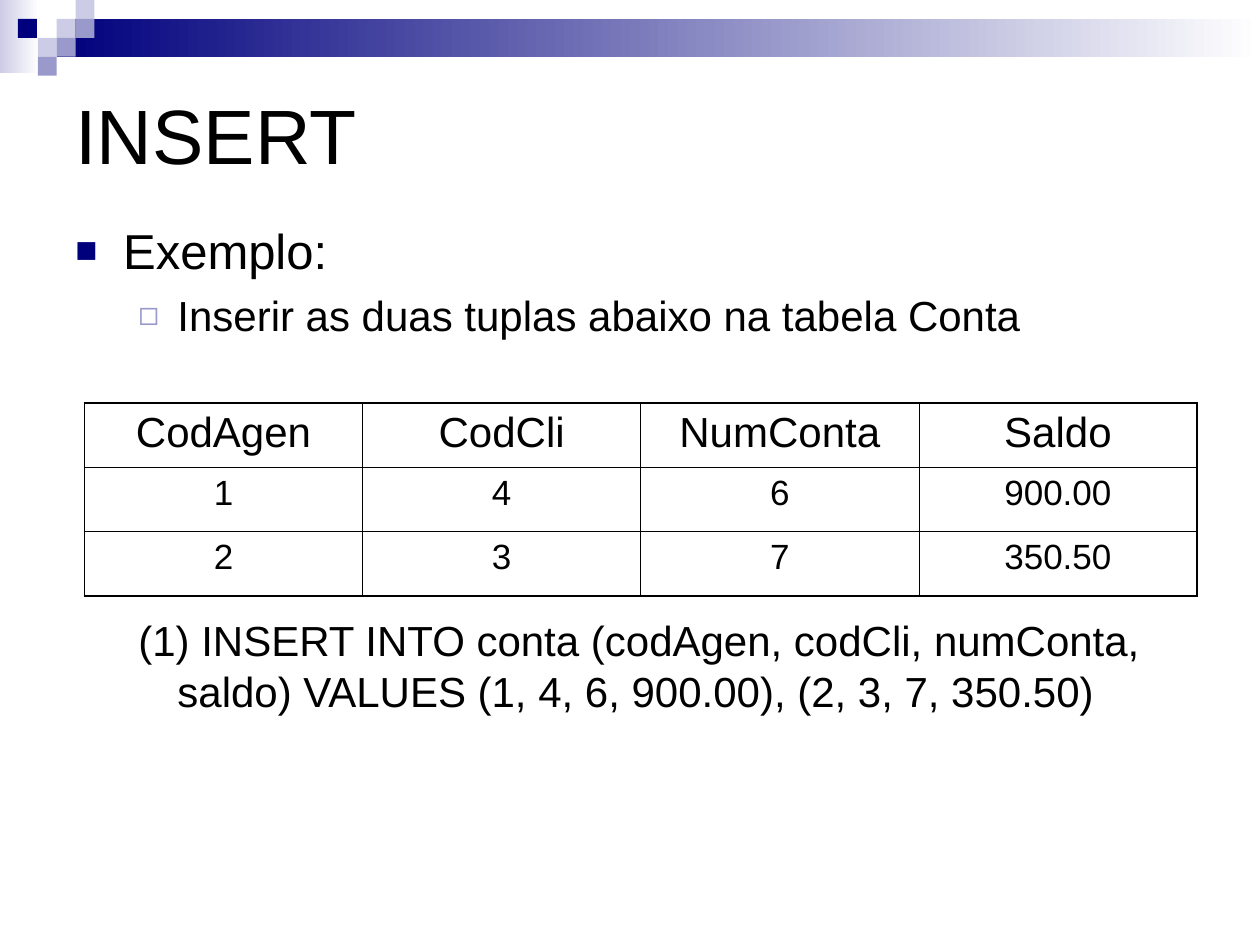
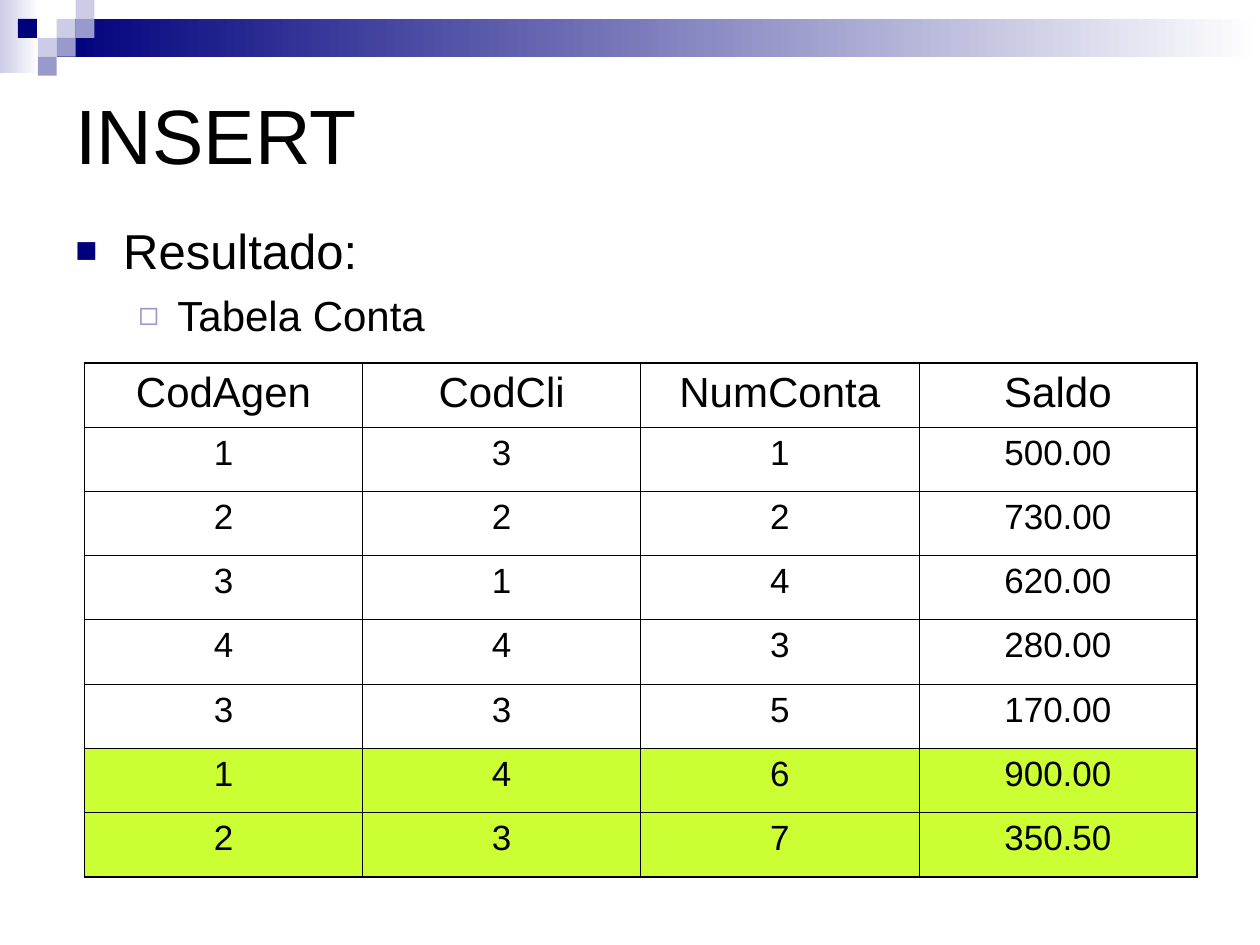
from dataclasses import dataclass

from lxml import etree
from pptx import Presentation
from pptx.dml.color import RGBColor
from pptx.enum import shapes, text
from pptx.oxml import ns
from pptx.util import Inches, Pt


@dataclass(frozen=True)
class Theme:
    font: str = "Arial"
    ink: str = "000000"
    paper: str = "FFFFFF"
    navy: str = "00007D"
    lilac: str = "9999CC"
    pale: str = "CCCCE6"
    new_row: str = "CCFF33"
    title_size: int = 44
    topic_size: int = 28
    detail_size: int = 24
    cell_size: int = 20
    outer_line: float = 1.08
    inner_line: float = 0.45


THEME = Theme()
TITLE_BOX = (0.5, 0.5, 9, 1.12)
BODY_BOX = (0.5, 1.7, 9.23, 5.59)
TABLE_LEFT, TABLE_WIDTH, ROW_HEIGHT = 0.67, 8.83, 0.51
SQUARE = 0.15

HEADER = ("CodAgen", "CodCli", "NumConta", "Saldo")
OLD_ROWS = [
    ("1", "3", "1", "500.00"),
    ("2", "2", "2", "730.00"),
    ("3", "1", "4", "620.00"),
    ("4", "4", "3", "280.00"),
    ("3", "3", "5", "170.00"),
]
NEW_ROWS = [("1", "4", "6", "900.00"), ("2", "3", "7", "350.50")]
STATEMENT = ("(1) INSERT INTO conta (codAgen, codCli, numConta, saldo) "
             "VALUES (1, 4, 6, 900.00), (2, 3, 7, 350.50)")


def rgb(color):
    return RGBColor.from_string(color)


def style_paragraph(para, size):
    for span in para.runs:
        span.font.name = THEME.font
        span.font.size = Pt(size)
        span.font.color.rgb = rgb(THEME.ink)


def add_rectangle(page, box, color, fade_to=None):
    shape = page.shapes.add_shape(shapes.MSO_SHAPE.RECTANGLE, *map(Inches, box))
    shape.shadow.inherit = False
    shape.line.fill.background()
    if fade_to is None:
        shape.fill.solid()
        shape.fill.fore_color.rgb = rgb(color)
        return
    shape.fill.gradient()
    shape.fill.gradient_angle = 0
    for stop, position, stop_color in zip(shape.fill.gradient_stops, (0, 1), (color, fade_to)):
        stop.position = position
        stop.color.rgb = rgb(stop_color)


def add_header_band(page):
    # Fading bands
    add_rectangle(page, (0, 0, 0.31, 0.58), THEME.pale, THEME.paper)
    add_rectangle(page, (3 * SQUARE, SQUARE, 9.55, 2 * SQUARE), THEME.navy, THEME.paper)
    # Mosaic: column and row of each square
    mosaic = [
        (3, 1, THEME.pale), (4, 0, THEME.pale), (4, 1, THEME.lilac), (2, 2, THEME.pale),
        (0.95, 1, THEME.navy), (3, 2, THEME.lilac), (2, 3, THEME.lilac),
    ]
    for column, row, color in mosaic:
        add_rectangle(page, (column * SQUARE, row * SQUARE, SQUARE, SQUARE), color)


def add_title(page, box, wording):
    title = page.shapes.title
    title.left, title.top, title.width, title.height = map(Inches, box)
    frame = title.text_frame
    frame.text = wording
    frame.auto_size = text.MSO_AUTO_SIZE.NONE
    frame.vertical_anchor = text.MSO_ANCHOR.MIDDLE
    frame.paragraphs[0].alignment = text.PP_ALIGN.LEFT
    style_paragraph(frame.paragraphs[0], THEME.title_size)


def set_indent(para, margin, hanging):
    properties = para._p.get_or_add_pPr()
    properties.set("marL", str(Inches(margin)))
    properties.set("indent", str(-Inches(hanging)))
    return properties


def add_bullet(properties, symbol, color, percent):
    bullet_color = etree.SubElement(properties, ns.qn("a:buClr"))
    etree.SubElement(bullet_color, ns.qn("a:srgbClr"), val=color)
    etree.SubElement(properties, ns.qn("a:buSzPct"), val=str(percent * 1000))
    etree.SubElement(properties, ns.qn("a:buFont"), typeface=THEME.font)
    etree.SubElement(properties, ns.qn("a:buChar"), char=symbol)


def add_body(page, box, topic, detail, statement=None):
    frame = page.shapes.add_textbox(*map(Inches, box)).text_frame
    frame.word_wrap = True
    # Topic
    para = frame.paragraphs[0]
    para.text = topic
    add_bullet(set_indent(para, 0.38, 0.38), "■", THEME.navy, 75)
    style_paragraph(para, THEME.topic_size)
    # Detail
    para = frame.add_paragraph()
    para.text = detail
    para.level = 1
    add_bullet(set_indent(para, 0.81, 0.31), "◻", THEME.lilac, 80)
    para.space_before = Pt(6)
    style_paragraph(para, THEME.detail_size)
    # Statement, set below the table
    if statement:
        para = frame.add_paragraph()
        para.text = statement
        para.level = 1
        set_indent(para, 0.81, 0.31)
        para.space_before = Pt(157)
        style_paragraph(para, THEME.detail_size)


def set_borders(cell, outer_sides):
    properties = cell._tc.get_or_add_tcPr()
    for index, side in enumerate("LRTB"):
        width = THEME.outer_line if side in outer_sides else THEME.inner_line
        line = etree.Element(ns.qn(f"a:ln{side}"), w=str(Pt(width)))
        fill = etree.SubElement(line, ns.qn("a:solidFill"))
        etree.SubElement(fill, ns.qn("a:srgbClr"), val=THEME.ink)
        properties.insert(index, line)


def add_account_table(page, top, rows, highlighted=()):
    grid = [HEADER, *rows]
    last_row, last_column = len(grid) - 1, len(HEADER) - 1
    table = page.shapes.add_table(
        len(grid), len(HEADER), Inches(TABLE_LEFT), Inches(top),
        Inches(TABLE_WIDTH), Inches(ROW_HEIGHT * len(grid))).table
    table.first_row = table.horz_banding = False
    for row, values in enumerate(grid):
        for column, value in enumerate(values):
            cell = table.cell(row, column)
            cell.text_frame.text = value
            para = cell.text_frame.paragraphs[0]
            para.alignment = text.PP_ALIGN.CENTER
            style_paragraph(para, THEME.cell_size if row else THEME.detail_size)
            if values in highlighted:
                cell.fill.solid()
                cell.fill.fore_color.rgb = rgb(THEME.new_row)
            else:
                cell.fill.background()
            edges = {"L": column == 0, "R": column == last_column,
                     "T": row == 0, "B": row == last_row}
            set_borders(cell, [side for side, outer in edges.items() if outer])


def add_page(deck):
    page = deck.slides.add_slide(deck.slide_layouts.get_by_name("Title Only"))
    add_header_band(page)
    add_title(page, TITLE_BOX, "INSERT")
    return page


def build_example(deck):
    page = add_page(deck)
    add_body(page, BODY_BOX, "Exemplo:",
             "Inserir as duas tuplas abaixo na tabela Conta", STATEMENT)
    add_account_table(page, 3.2, NEW_ROWS)


def build_result(deck):
    page = add_page(deck)
    add_body(page, BODY_BOX, "Resultado:", "Tabela Conta")
    add_account_table(page, 2.88, OLD_ROWS + NEW_ROWS, highlighted=NEW_ROWS)


def main():
    deck = Presentation()
    deck.slide_width, deck.slide_height = Inches(10), Inches(7.5)
    build_example(deck)
    build_result(deck)
    deck.save("out.pptx")


if __name__ == "__main__":
    main()
